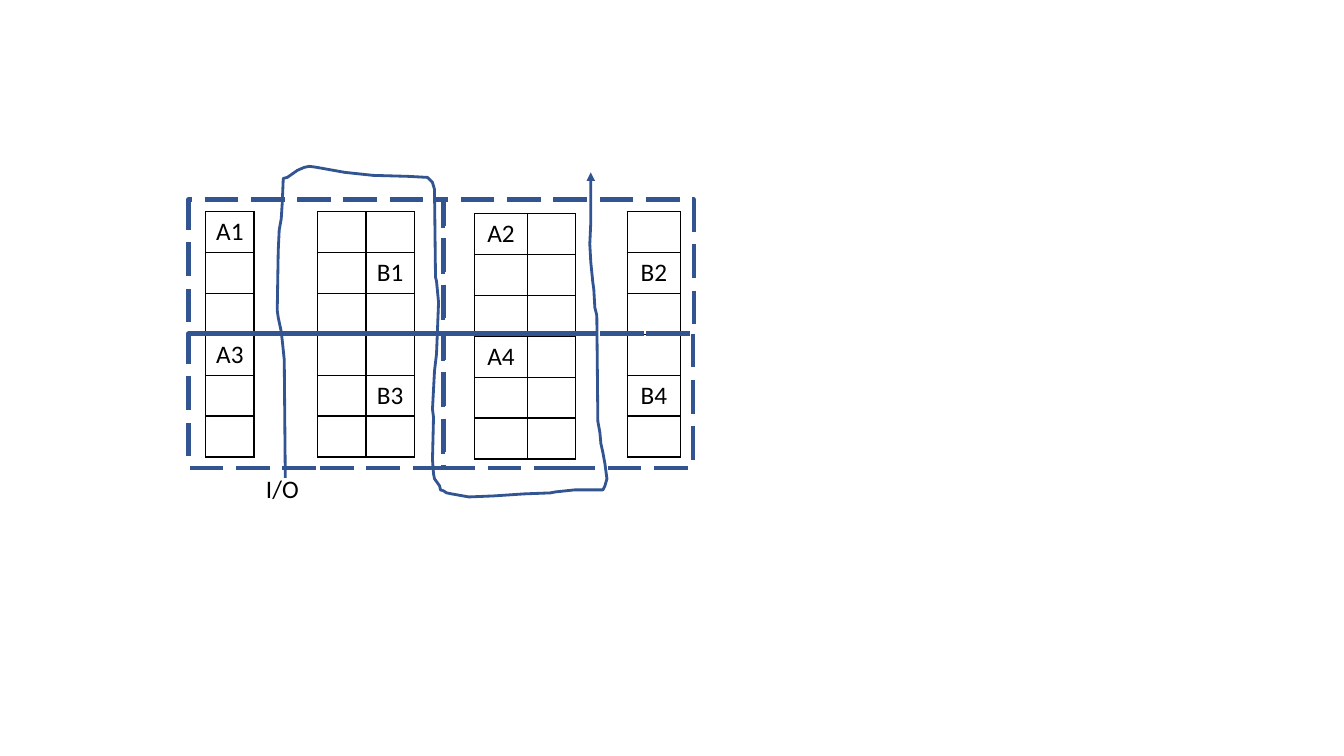
from dataclasses import dataclass

from pptx import Presentation
from pptx.dml.color import RGBColor
from pptx.enum.dml import MSO_LINE_DASH_STYLE as Dash
from pptx.enum.shapes import MSO_AUTO_SHAPE_TYPE as ShapeType
from pptx.enum.text import MSO_ANCHOR, MSO_AUTO_SIZE, PP_ALIGN
from pptx.oxml import parse_xml
from pptx.oxml.ns import nsdecls
from pptx.shapes.base import BaseShape
from pptx.slide import Slide
from pptx.table import _Cell as Cell
from pptx.text.text import TextFrame
from pptx.util import Inches, Pt

COLORS = {"text": "000000", "border": "000000", "route": "325491"}
FONT = "Calibri"
ROWS = 6
ROW_HEIGHT = 0.405


@dataclass(frozen=True)
class Rack:
    left: float
    top: float
    columns: tuple[float, ...]
    labels: dict[tuple[int, int], str]


@dataclass(frozen=True)
class Zone:
    left: float
    top: float
    width: float


RACKS = [
    Rack(2.04, 2.1, (0.48,), {(0, 0): "A1", (3, 0): "A3"}),
    Rack(3.15, 2.1, (0.48, 0.48), {(1, 1): "B1", (4, 1): "B3"}),
    Rack(4.71, 2.12, (0.52, 0.48), {(0, 0): "A2", (3, 0): "A4"}),
    Rack(6.22, 2.1, (0.53,), {(1, 0): "B2", (4, 0): "B4"}),
]

ZONE_HEIGHT = 1.33
ZONES = [
    Zone(1.87, 3.31, 2.53),
    Zone(4.39, 3.31, 2.48),
    Zone(4.39, 1.98, 2.49),
    Zone(1.87, 1.98, 2.53),
]

ROUTE = [
    (2.83, 4.74), (2.82, 3.57), (2.8, 3.38), (2.79, 3.29), (2.76, 3.15),
    (2.75, 3.08), (2.76, 2.49), (2.77, 2.28), (2.79, 2.17), (2.8, 2.01),
    (2.81, 1.77), (2.85, 1.76), (2.95, 1.69), (3.02, 1.66), (3.07, 1.65),
    (3.14, 1.66), (3.42, 1.71), (3.7, 1.74), (4.05, 1.75), (4.24, 1.76),
    (4.29, 1.81), (4.31, 1.88), (4.32, 2.75), (4.33, 2.79), (4.35, 3),
    (4.33, 3.51), (4.31, 3.68), (4.29, 4.06), (4.3, 4.14), (4.29, 4.56),
    (4.3, 4.7), (4.31, 4.75), (4.36, 4.82), (4.37, 4.86), (4.4, 4.87),
    (4.43, 4.89), (4.48, 4.9), (4.65, 4.93), (4.9, 4.92), (5.2, 4.9),
    (5.46, 4.89), (5.51, 4.88), (5.7, 4.86), (5.98, 4.86), (6, 4.82),
    (6.02, 4.75), (6, 4.6), (5.98, 4.49), (5.96, 4.4), (5.95, 4.29),
    (5.93, 4.18), (5.92, 3.13), (5.9, 3.05), (5.89, 2.87), (5.88, 2.8),
    (5.86, 2.6), (5.85, 2.42), (5.86, 2.21), (5.86, 1.71),
]


def write_label(text_frame: TextFrame, text: str, alignment: PP_ALIGN) -> None:
    text_frame.text = text
    paragraph = text_frame.paragraphs[0]
    paragraph.alignment = alignment
    font = paragraph.runs[0].font
    font.name = FONT
    font.size = Pt(18)
    font.color.rgb = RGBColor.from_string(COLORS["text"])


def add_borders(cell: Cell) -> None:
    properties = cell._tc.get_or_add_tcPr()
    for index, side in enumerate(("lnL", "lnR", "lnT", "lnB")):
        border = parse_xml(
            f'<a:{side} {nsdecls("a")} w="{Pt(1)}"><a:solidFill>'
            f'<a:srgbClr val="{COLORS["border"]}"/></a:solidFill></a:{side}>'
        )
        properties.insert(index, border)


def add_rack(slide: Slide, rack: Rack) -> None:
    table = slide.shapes.add_table(
        ROWS, len(rack.columns), Inches(rack.left), Inches(rack.top),
        Inches(sum(rack.columns)), Inches(ROWS * ROW_HEIGHT),
    ).table
    table.first_row = False
    table.horz_banding = False
    for column, width in zip(table.columns, rack.columns):
        column.width = Inches(width)
    for row in table.rows:
        row.height = Inches(ROW_HEIGHT)
    for cell in table.iter_cells():
        cell.fill.background()
        add_borders(cell)
    for (row_index, column_index), label in rack.labels.items():
        cell = table.cell(row_index, column_index)
        write_label(cell.text_frame, label, PP_ALIGN.CENTER)


def style_outline(shape: BaseShape, width: float) -> None:
    """Leave the shape unfilled, with a line in the route colour."""
    shape.shadow.inherit = False
    shape.fill.background()
    shape.line.color.rgb = RGBColor.from_string(COLORS["route"])
    shape.line.width = Pt(width)


def add_zone(slide: Slide, zone: Zone) -> None:
    shape = slide.shapes.add_shape(
        ShapeType.RECTANGLE, Inches(zone.left), Inches(zone.top),
        Inches(zone.width), Inches(ZONE_HEIGHT),
    )
    style_outline(shape, 3)
    shape.line.dash_style = Dash.LONG_DASH


def add_entrance(slide: Slide) -> None:
    text_box = slide.shapes.add_textbox(
        Inches(2.54), Inches(4.65), Inches(0.53), Inches(0.4)
    )
    text_frame = text_box.text_frame
    text_frame.word_wrap = False
    text_frame.auto_size = MSO_AUTO_SIZE.SHAPE_TO_FIT_TEXT
    text_frame.vertical_anchor = MSO_ANCHOR.TOP
    write_label(text_frame, "I/O", PP_ALIGN.LEFT)


def add_route(slide: Slide) -> None:
    points = [(Inches(x), Inches(y)) for x, y in ROUTE]
    builder = slide.shapes.build_freeform(*points[0])
    builder.add_line_segments(points[1:], close=False)
    shape = builder.convert_to_shape()
    style_outline(shape, 2)
    line = shape.line._get_or_add_ln()
    line.append(parse_xml(f'<a:round {nsdecls("a")}/>'))
    line.append(parse_xml(f'<a:tailEnd {nsdecls("a")} type="triangle"/>'))


def main() -> None:
    presentation = Presentation()
    presentation.slide_width = Inches(13.33)
    presentation.slide_height = Inches(7.5)
    slide = presentation.slides.add_slide(presentation.slide_layouts[6])
    for rack in RACKS:
        add_rack(slide, rack)
    add_entrance(slide)
    for zone in ZONES:
        add_zone(slide, zone)
    add_route(slide)
    presentation.save("out.pptx")


if __name__ == "__main__":
    main()
